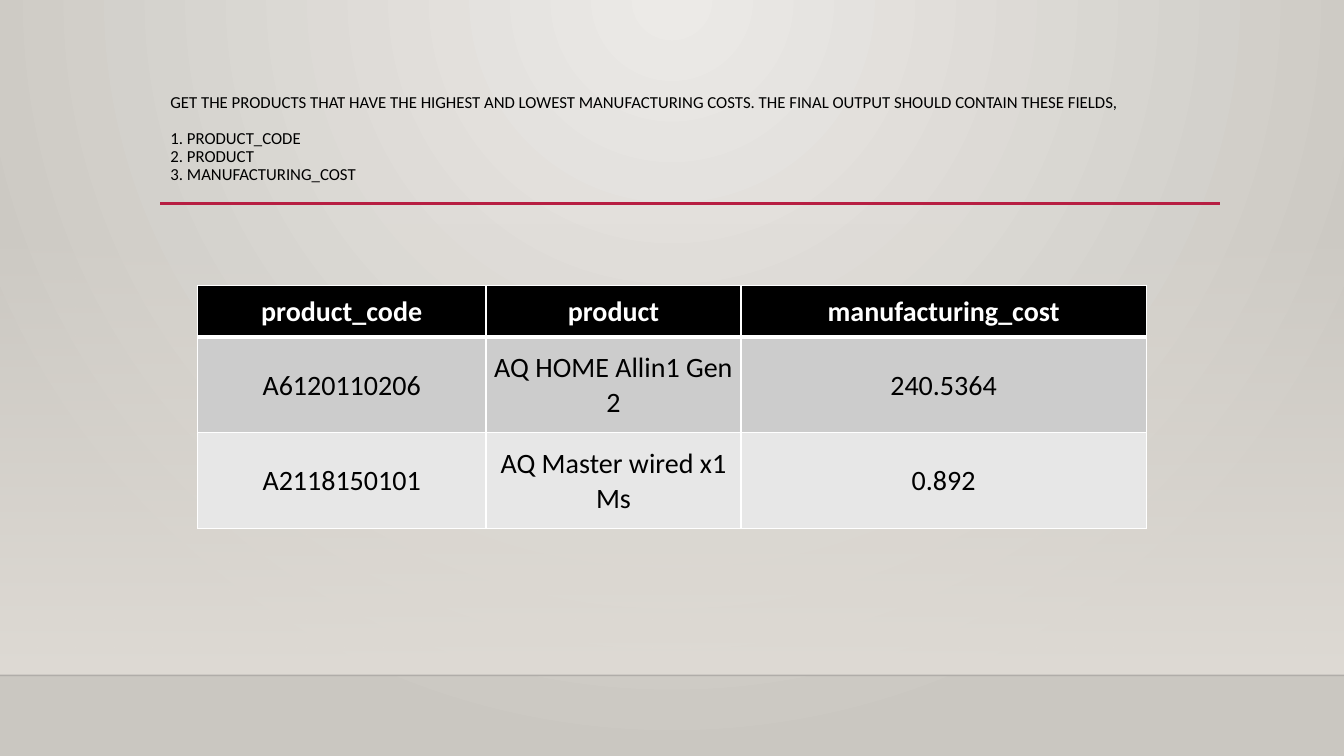
from lxml import etree
from pptx import Presentation
from pptx.dml.color import RGBColor
from pptx.enum import shapes, text
from pptx.oxml.ns import qn
from pptx.util import Inches, Pt

BLACK = RGBColor(0x00, 0x00, 0x00)
WHITE = RGBColor(0xFF, 0xFF, 0xFF)
CRIMSON = RGBColor(0xB7, 0x1E, 0x42)
RULE_DARK = RGBColor(0x00, 0x00, 0x01)
BACKDROP_LIGHT = RGBColor(0xEC, 0xEA, 0xE7)
BACKDROP_DARK = RGBColor(0xCA, 0xC7, 0xC1)
HAZE = RGBColor(0xDF, 0xDB, 0xD5)
ROW_FILLS = [BLACK, RGBColor(0xCC, 0xCC, 0xCC), RGBColor(0xE7, 0xE7, 0xE7)]
FONT = "Calibri"

TITLE = (
    "GET THE PRODUCTS THAT HAVE THE HIGHEST AND LOWEST MANUFACTURING COSTS. "
    "THE FINAL OUTPUT SHOULD CONTAIN THESE FIELDS,\n\n"
    "1. PRODUCT_CODE\n2. PRODUCT\n3. MANUFACTURING_COST"
)
ROWS = [
    ["product_code", "product", "manufacturing_cost"],
    ["A6120110206", "AQ HOME Allin1 Gen 2", "240.5364"],
    ["A2118150101", "AQ Master wired x1 Ms", "0.892"],
]
COLUMN_WIDTHS = [2.86, 2.53, 4.02]
ROW_HEIGHTS = [0.51, 0.95, 0.95]


def set_gradient(fill, first, last):
    fill.gradient()
    for stop, colour in zip(fill.gradient_stops, (first, last)):
        stop.color.rgb = colour


def add_border(cell, side, width):
    """Draw a white border of the given point width on side L, R, T or B."""
    line = etree.SubElement(cell._tc.get_or_add_tcPr(), qn(f"a:ln{side}"), w=str(Pt(width)))
    solid = etree.SubElement(line, qn("a:solidFill"))
    etree.SubElement(solid, qn("a:srgbClr"), val=str(WHITE))


presentation = Presentation()
presentation.slide_width = Inches(13.33)
presentation.slide_height = Inches(7.5)
slide = presentation.slides.add_slide(presentation.slide_layouts[5])

# Radial backdrop, lightest at the top centre
set_gradient(slide.background.fill, BACKDROP_LIGHT, BACKDROP_DARK)
gradient = slide.element.find(".//" + qn("a:gradFill"))
gradient.remove(gradient.find(qn("a:lin")))
radial = etree.SubElement(gradient, qn("a:path"), path="circle")
etree.SubElement(radial, qn("a:fillToRect"), l="43000", t="0", r="43000", b="100000")

# Haze that fades in towards the floor line
haze = slide.shapes.add_shape(
    shapes.MSO_SHAPE.RECTANGLE, 0, Inches(2.21), Inches(13.33), Inches(4.49)
)
haze.shadow.inherit = False
haze.line.fill.background()
set_gradient(haze.fill, HAZE, HAZE)
haze.fill.gradient_angle = 270
etree.SubElement(haze.element.find(".//" + qn("a:srgbClr")), qn("a:alpha"), val="0")

# Floor line and title rule: left, right, y, colour, width, opacity
for left, right, y, colour, width, opacity in [
    (0, 13.33, 6.7, RULE_DARK, 1, 20),
    (1.59, 12.1, 2.02, CRIMSON, 2.5, 100),
]:
    rule = slide.shapes.add_connector(
        shapes.MSO_CONNECTOR.STRAIGHT, Inches(left), Inches(y), Inches(right), Inches(y)
    )
    rule.line.color.rgb = colour
    rule.line.width = Pt(width)
    etree.SubElement(rule.element.find(".//" + qn("a:srgbClr")), qn("a:alpha"), val=str(opacity * 1000))
    etree.SubElement(rule.element.spPr, qn("a:effectLst"))

title = slide.shapes.title
title.left, title.top = Inches(1.59), Inches(0.88)
title.width, title.height = Inches(10.5), Inches(1.15)
title.text_frame.word_wrap = True
title.text_frame.auto_size = text.MSO_AUTO_SIZE.NONE
title.text_frame.vertical_anchor = text.MSO_ANCHOR.TOP
paragraph = title.text_frame.paragraphs[0]
paragraph.text = TITLE
paragraph.alignment = text.PP_ALIGN.LEFT
paragraph.line_spacing = 0.9
# Line breaks take their height from the paragraph font
paragraph.font.size = Pt(12)
for line_break in paragraph._p.findall(qn("a:br")):
    etree.SubElement(line_break, qn("a:rPr"), sz="1200")
for run in paragraph.runs:
    run.font.name = FONT
    run.font.size = Pt(12)
    run.font.color.rgb = BLACK

table = slide.shapes.add_table(
    len(ROWS), len(COLUMN_WIDTHS), Inches(1.96), Inches(2.83),
    Inches(sum(COLUMN_WIDTHS)), Inches(sum(ROW_HEIGHTS)),
).table
for column, width in zip(table.columns, COLUMN_WIDTHS):
    column.width = Inches(width)
for row, height in zip(table.rows, ROW_HEIGHTS):
    row.height = Inches(height)

for row_index, values in enumerate(ROWS):
    is_header = row_index == 0
    for column_index, value in enumerate(values):
        cell = table.cell(row_index, column_index)
        cell.text = value
        cell.vertical_anchor = text.MSO_ANCHOR.MIDDLE
        cell.margin_left = cell.margin_top = cell.margin_right = Inches(0.02)
        cell.margin_bottom = 0
        add_border(cell, "L", 1)
        add_border(cell, "R", 1)
        add_border(cell, "T", 3 if row_index == 1 else 1)
        add_border(cell, "B", 3 if is_header else 1)
        cell.fill.solid()
        cell.fill.fore_color.rgb = ROW_FILLS[row_index]
        paragraph = cell.text_frame.paragraphs[0]
        paragraph.alignment = text.PP_ALIGN.CENTER
        font = paragraph.runs[0].font
        font.name = FONT
        font.size = Pt(20)
        font.bold = is_header
        font.color.rgb = WHITE if is_header else BLACK

presentation.save("out.pptx")
